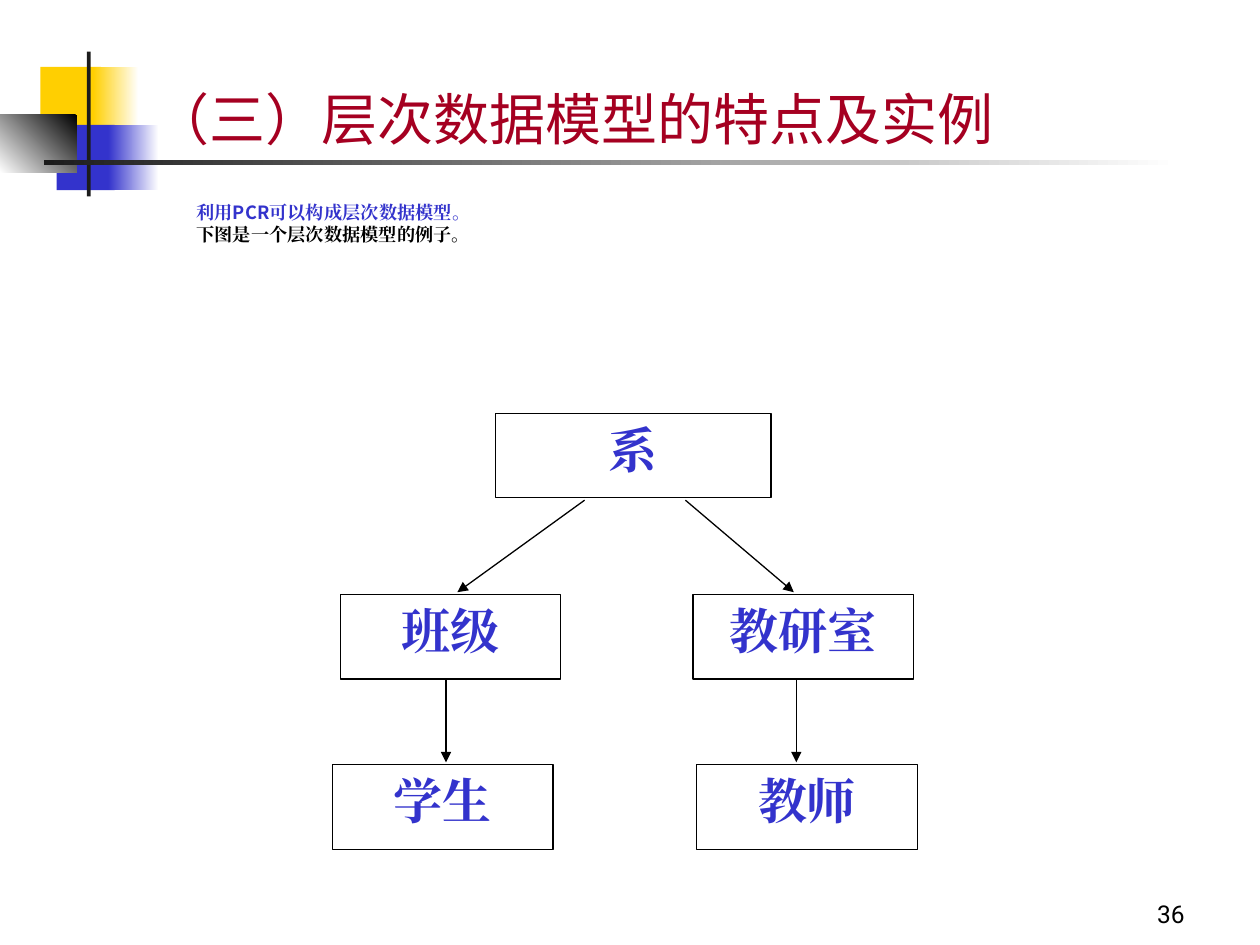
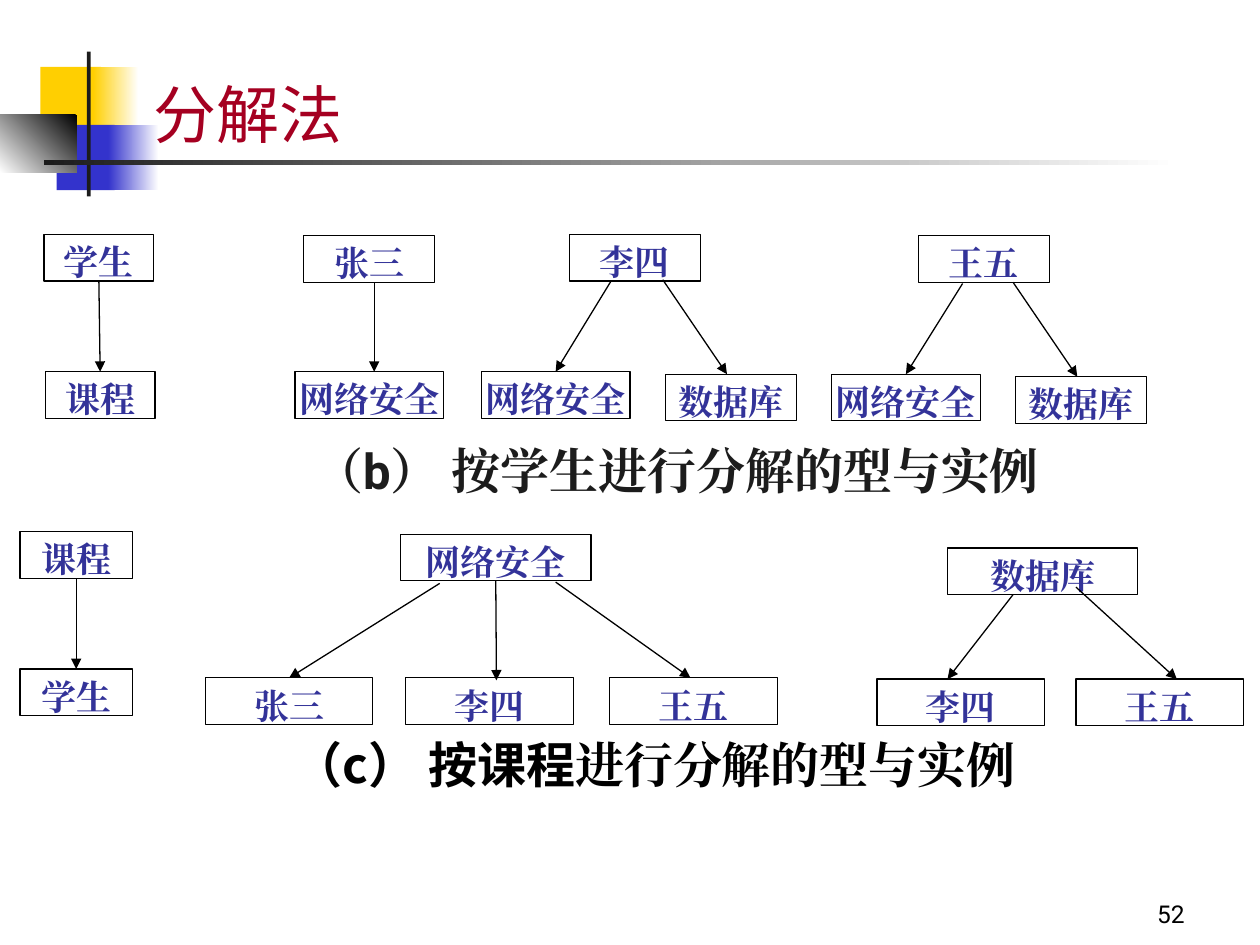
from dataclasses import dataclass

from lxml import etree
from pptx import Presentation
from pptx.dml.color import RGBColor
from pptx.enum.shapes import MSO_CONNECTOR, MSO_SHAPE
from pptx.enum.text import MSO_ANCHOR, PP_ALIGN
from pptx.oxml.ns import qn
from pptx.util import Pt

RECT, STRAIGHT = MSO_SHAPE.RECTANGLE, MSO_CONNECTOR.STRAIGHT
LEFT, CENTER, RIGHT = PP_ALIGN.LEFT, PP_ALIGN.CENTER, PP_ALIGN.RIGHT
TOP, BOTTOM = MSO_ANCHOR.TOP, MSO_ANCHOR.BOTTOM
TOP_SIDE, BOTTOM_SIDE = 0, 2
PX = 9144


@dataclass(frozen=True)
class Theme:
    white: str = "FFFFFF"
    black: str = "000000"
    ink: str = "1C1C1C"
    yellow: str = "FFCF01"
    blue: str = "3333CC"
    navy: str = "333399"
    red: str = "A50021"
    cjk: str = "Noto Sans CJK SC"
    serif: str = "Times New Roman"
    sans: str = "Roboto"
    body_size: float = 10.4
    page_size: int = 14
    node_size: int = 20
    large_size: int = 28
    line_width: float = 0.75


THEME = Theme()


def write(shape, paragraphs, size, color, bold=False, align=LEFT, anchor=TOP, margins=(10, 5, 10, 5)):
    frame = shape.text_frame
    left, top, right, bottom = (m * PX for m in margins)
    layout = {"word_wrap": True, "vertical_anchor": anchor, "margin_left": left,
              "margin_top": top, "margin_right": right, "margin_bottom": bottom}
    for key, value in layout.items():
        setattr(frame, key, value)
    for index, runs in enumerate(paragraphs):
        paragraph = frame.add_paragraph() if index else frame.paragraphs[0]
        paragraph.alignment = align
        for text, face, *own_color in runs:
            run = paragraph.add_run()
            run.text = text
            for key, value in {"size": Pt(size), "bold": bold, "name": face}.items():
                setattr(run.font, key, value)
            run.font.color.rgb = RGBColor.from_string(own_color[0] if own_color else color)
            etree.SubElement(run.font._element, qn("a:ea"), typeface=face)


def add_rect(slide, x, y, width, height, colors, angle=0):
    rect = slide.shapes.add_shape(RECT, x * PX, y * PX, width * PX, height * PX)
    rect.shadow.inherit = False
    rect.line.fill.background()
    if len(colors) == 1:
        rect.fill.solid()
        rect.fill.fore_color.rgb = RGBColor.from_string(colors[0])
    else:
        rect.fill.gradient()
        rect.fill.gradient_angle = angle
        for stop, color in zip(rect.fill.gradient_stops, colors):
            stop.color.rgb = RGBColor.from_string(color)
    return rect


BANDS = [
    (32, 53, 48, 52, [THEME.yellow]),
    (74, 53, 36, 52, [THEME.white, THEME.yellow], 180),
    (45, 99, 46, 52, [THEME.blue]),
    (86, 99, 40, 52, [THEME.white, THEME.blue], 180),
    (0, 91, 61, 46, [THEME.black, THEME.white], 225),
    (69, 41, 3, 115, [THEME.ink]),
    (35, 127, 900, 4, [THEME.white, THEME.ink], 180),
]

SLIDES = [
    {
        "title": "（三）层次数据模型的特点及实例", "title_size": 32, "page": "36",
        "node_height": 67, "node_size": THEME.large_size, "node_color": THEME.blue,
        "nodes": {
            "department": ("系", 393, 328, 219),
            "class": ("班级", 270, 472, 175),
            "section": ("教研室", 550, 472, 175),
            "student": ("学生", 264, 607, 175),
            "teacher": ("教师", 553, 607, 175),
        },
        "links": [
            ("department", "class", 464, 397, 363, 470),
            ("department", "section", 544, 397, 630, 470),
            ("class", "student", 354, 539, 354, 605),
            ("section", "teacher", 632, 539, 632, 605),
        ],
        "texts": [
            ((146, 155, 811, 83),
             [[("利用", THEME.serif), ("PCR", THEME.cjk), ("可以构成层次数据模型。", THEME.serif)],
              [("下图是一个层次数据模型的例子。", THEME.serif, THEME.black)]],
             {"size": THEME.body_size, "color": THEME.blue, "bold": True}),
        ],
    },
    {
        "title": "分解法", "title_size": 36, "page": "52",
        "node_height": 37, "node_size": THEME.node_size, "node_color": THEME.navy,
        "nodes": {
            "b_type_student": ("学生", 35, 186, 87),
            "b_type_course": ("课程", 36, 295, 87),
            "b_zhang": ("张三", 241, 187, 104),
            "b_zhang_security": ("网络安全", 234, 295, 118),
            "b_li": ("李四", 452, 186, 104),
            "b_li_security": ("网络安全", 382, 295, 118),
            "b_li_database": ("数据库", 528, 297, 104),
            "b_wang": ("王五", 729, 187, 104),
            "b_wang_security": ("网络安全", 660, 297, 118),
            "b_wang_database": ("数据库", 806, 299, 104),
            "c_type_course": ("课程", 16, 422, 89),
            "c_type_student": ("学生", 16, 531, 89),
            "c_security": ("网络安全", 318, 424, 151),
            "c_security_zhang": ("张三", 163, 538, 133),
            "c_security_li": ("李四", 322, 538, 133),
            "c_security_wang": ("王五", 484, 538, 133),
            "c_database": ("数据库", 752, 435, 151),
            "c_database_li": ("李四", 696, 539, 133),
            "c_database_wang": ("王五", 854, 539, 133),
        },
        "links": [
            ("b_type_student", "b_type_course", 79, 223, 79, 294),
            ("b_zhang", "b_zhang_security", 297, 224, 297, 295),
            ("b_li", "b_li_security", 485, 223, 440, 295),
            ("b_li", "b_li_database", 526, 222, 577, 297),
            ("b_wang", "b_wang_security", 764, 225, 718, 297),
            ("b_wang", "b_wang_database", 804, 224, 855, 299),
            ("c_type_course", "c_type_student", 60, 460, 60, 530),
            ("c_security", "c_security_zhang", 349, 463, 230, 537),
            ("c_security", "c_security_li", 394, 461, 394, 540),
            ("c_security", "c_security_wang", 441, 462, 548, 538),
            ("c_database", "c_database_li", 804, 472, 752, 539),
            ("c_database", "c_database_wang", 854, 466, 934, 539),
        ],
        "texts": [
            ((140, 342, 723, 64),
             [[("（", THEME.serif), ("b", THEME.sans), ("） 按学生进行分解的型与实例", THEME.serif)]],
             {"size": THEME.large_size, "color": THEME.ink, "bold": True,
              "align": CENTER, "margins": (71, 8, 0, 5)}),
            ((174, 578, 691, 57),
             [[("（c） 按课程", THEME.cjk), ("进行分解的型与实例", THEME.serif)]],
             {"size": THEME.large_size, "color": THEME.black, "bold": True, "align": CENTER}),
        ],
    },
]

deck = Presentation()
deck.slide_width, deck.slide_height = 1000 * PX, 750 * PX

for content in SLIDES:
    slide = deck.slides.add_slide(deck.slide_layouts[6])
    for band in BANDS:
        add_rect(slide, *band)

    heading = ((112, 0, 852, 125), [[(content["title"], THEME.cjk)]],
               {"size": content["title_size"], "color": THEME.red, "anchor": BOTTOM})
    page_number = ((742, 692, 208, 50), [[(content["page"], THEME.sans)]],
                   {"size": THEME.page_size, "color": THEME.black, "align": RIGHT, "anchor": BOTTOM})
    for area, paragraphs, style in [heading, page_number, *content["texts"]]:
        write(slide.shapes.add_textbox(*(v * PX for v in area)), paragraphs, **style)

    height = content["node_height"]
    nodes = {}
    for key, (label, x, y, width) in content["nodes"].items():
        node = add_rect(slide, x, y, width, height, [THEME.white])
        node.line.color.rgb = RGBColor.from_string(THEME.black)
        node.line.width = Pt(THEME.line_width)
        write(node, [[(label, THEME.serif)]], content["node_size"], content["node_color"],
              bold=True, align=CENTER, margins=(0, 5, 0, 5))
        nodes[key] = node

    for parent, child, x1, y1, x2, y2 in content["links"]:
        arrow = slide.shapes.add_connector(STRAIGHT, x1 * PX, y1 * PX, x2 * PX, y2 * PX)
        arrow.line.color.rgb = RGBColor.from_string(THEME.black)
        arrow.line.width = Pt(THEME.line_width)
        etree.SubElement(arrow.line._get_or_add_ln(), qn("a:tailEnd"), type="triangle")
        etree.SubElement(arrow._element.spPr, qn("a:effectLst"))
        ends = [(arrow.begin_connect, parent, BOTTOM_SIDE, x1, y1, height),
                (arrow.end_connect, child, TOP_SIDE, x2, y2, 0)]
        for join, key, side, x, y, drop in ends:
            label, left, top, width = content["nodes"][key]
            if abs(left + width / 2 - x) <= 1 and abs(top + drop - y) <= 1:
                join(nodes[key], side)

deck.save("out.pptx")
